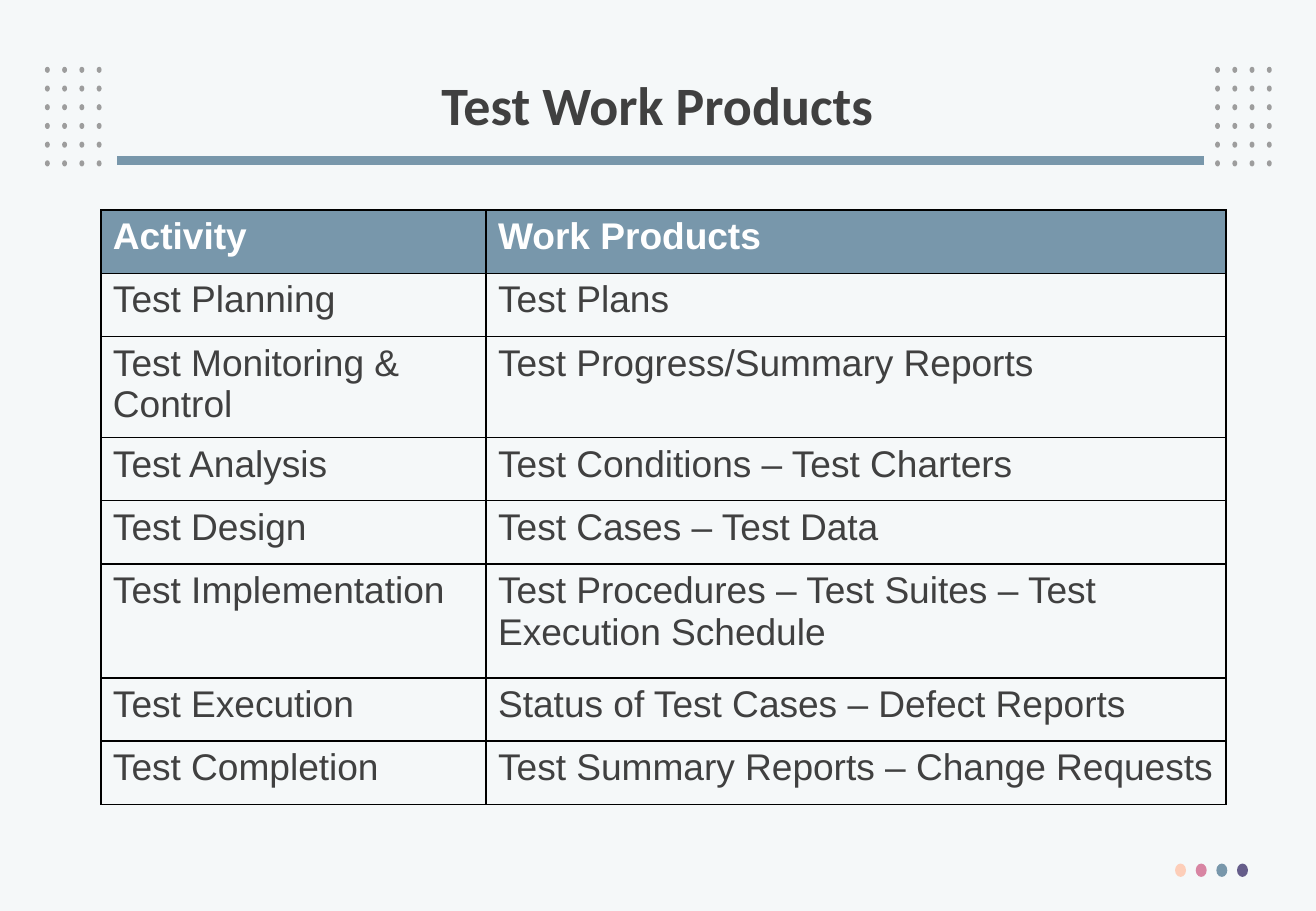
from lxml import etree
from pptx import Presentation
from pptx.dml.color import RGBColor
from pptx.enum.shapes import MSO_CONNECTOR, MSO_SHAPE
from pptx.enum.text import MSO_ANCHOR, PP_ALIGN
from pptx.oxml.ns import qn
from pptx.util import Inches, Pt

OVAL = MSO_SHAPE.OVAL
STRAIGHT = MSO_CONNECTOR.STRAIGHT
MIDDLE = MSO_ANCHOR.MIDDLE
CENTER = PP_ALIGN.CENTER

COLORS = {
    "background": "F5F8F9",
    "text": "404040",
    "header_text": "FFFFFF",
    "border": "000000",
    "grid_dot": "9D9D9D",
    "peach": "FDCEB9",
    "pink": "D885A3",
    "blue": "7897AB",
    "purple": "655D8A",
}

ROWS = [
    ("Activity", "Work Products"),
    ("Test Planning", "Test Plans"),
    ("Test Monitoring & Control", "Test Progress/Summary Reports"),
    ("Test Analysis", "Test Conditions – Test Charters"),
    ("Test Design", "Test Cases – Test Data"),
    ("Test Implementation", "Test Procedures – Test Suites – Test Execution Schedule"),
    ("Test Execution", "Status of Test Cases – Defect Reports"),
    ("Test Completion", "Test Summary Reports – Change Requests"),
]
COLUMN_WIDTHS = [3.17, 6.09]
ROW_HEIGHT = 0.52
TALL_ROWS = {2: 0.79, 5: 0.94}


def add_dot(slide, left, top, width, height, color):
    dot = slide.shapes.add_shape(OVAL, Inches(left), Inches(top), Inches(width), Inches(height))
    dot.shadow.inherit = False
    dot.fill.solid()
    dot.fill.fore_color.rgb = RGBColor.from_string(COLORS[color])
    dot.line.fill.background()


def style_run(run, font_name, size, color, bold):
    run.font.name = font_name
    run.font.size = Pt(size)
    run.font.bold = bold
    run.font.color.rgb = RGBColor.from_string(COLORS[color])


presentation = Presentation()
presentation.slide_width = Inches(10.83)
presentation.slide_height = Inches(7.5)
slide = presentation.slides.add_slide(presentation.slide_layouts[6])
slide.background.fill.solid()
slide.background.fill.fore_color.rgb = RGBColor.from_string(COLORS["background"])

for grid_left in (0.37, 10):
    for row in range(6):
        for column in range(4):
            add_dot(slide, grid_left + column * 0.142, 0.55 + row * 0.154, 0.04, 0.05, "grid_dot")

title_rule = slide.shapes.add_connector(STRAIGHT, Inches(9.91), Inches(1.32), Inches(0.96), Inches(1.32))
title_rule.line.color.rgb = RGBColor.from_string(COLORS["blue"])
title_rule.line.width = Pt(5.25)
etree.SubElement(title_rule._element.spPr, qn("a:effectLst"))

for index, color in enumerate(("peach", "pink", "blue", "purple")):
    add_dot(slide, 9.67 + index * 0.17, 7.11, 0.09, 0.11, color)

title = slide.shapes.add_textbox(Inches(0.74), Inches(0.4), Inches(9.34), Inches(0.98))
title.text_frame.word_wrap = True
title.text_frame.vertical_anchor = MIDDLE
title.text_frame.text = "Test Work Products"
paragraph = title.text_frame.paragraphs[0]
paragraph.alignment = CENTER
paragraph.line_spacing = 0.9
style_run(paragraph.runs[0], "Calibri", 32, "text", True)

row_heights = [TALL_ROWS.get(index, ROW_HEIGHT) for index in range(len(ROWS))]
table = slide.shapes.add_table(
    len(ROWS), len(COLUMN_WIDTHS), Inches(0.83), Inches(1.73),
    Inches(sum(COLUMN_WIDTHS)), Inches(sum(row_heights)),
).table
table.horz_banding = False
for column, width in zip(table.columns, COLUMN_WIDTHS):
    column.width = Inches(width)

for row_index, labels in enumerate(ROWS):
    table.rows[row_index].height = Inches(row_heights[row_index])
    is_header = row_index == 0
    for column_index, label in enumerate(labels):
        cell = table.cell(row_index, column_index)
        cell.text_frame.text = label
        text_color = "header_text" if is_header else "text"
        style_run(cell.text_frame.paragraphs[0].runs[0], "Arial", 22, text_color, is_header)
        properties = cell._tc.get_or_add_tcPr()
        for side in ("a:lnL", "a:lnR", "a:lnT", "a:lnB"):
            border = etree.SubElement(properties, qn(side), w=str(Pt(1)))
            border_fill = etree.SubElement(border, qn("a:solidFill"))
            etree.SubElement(border_fill, qn("a:srgbClr"), val=COLORS["border"])
        if is_header:
            cell.fill.solid()
            cell.fill.fore_color.rgb = RGBColor.from_string(COLORS["blue"])
        else:
            cell.fill.background()

presentation.save("out.pptx")
